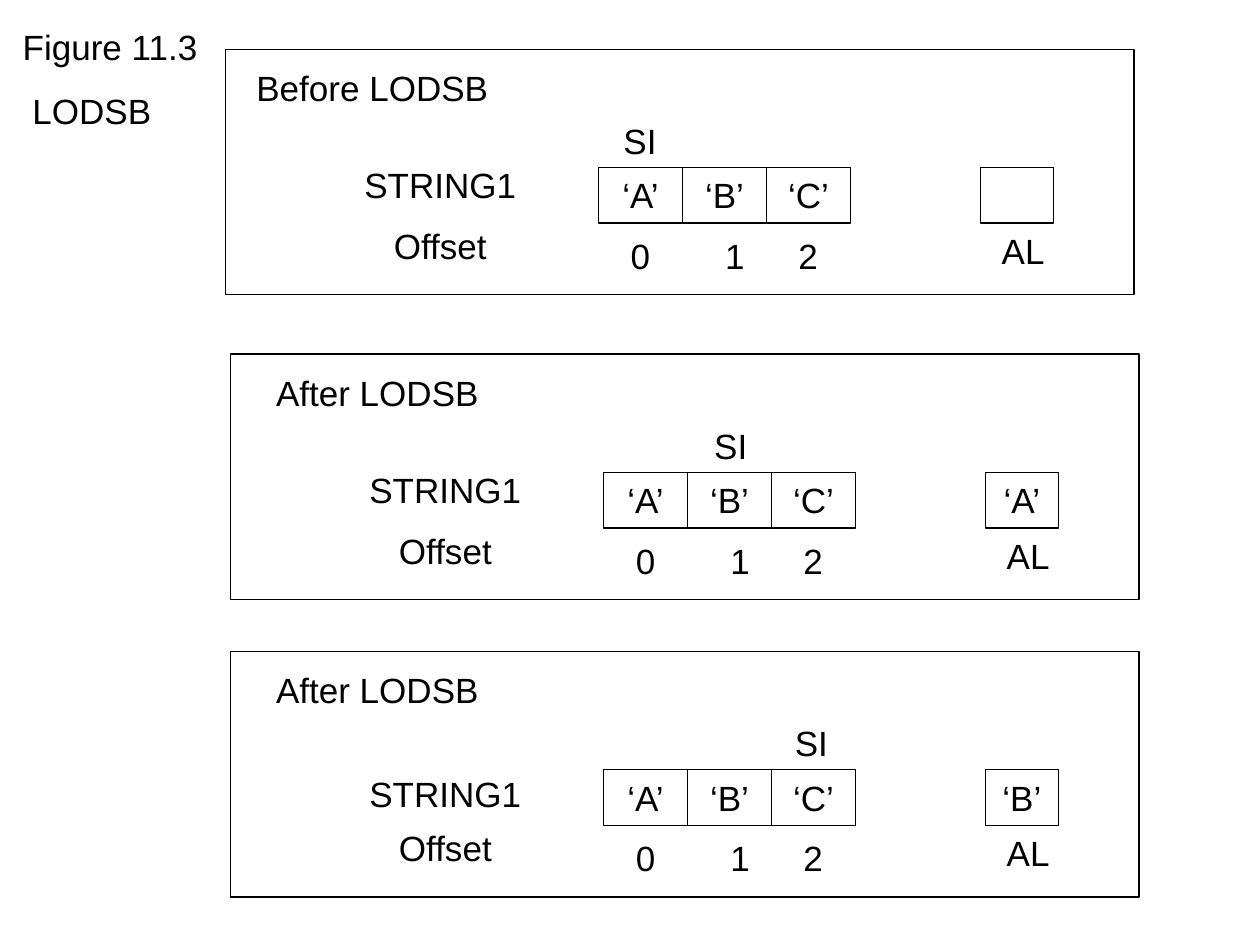
from dataclasses import dataclass

from pptx import Presentation
from pptx.dml.color import RGBColor
from pptx.enum.shapes import MSO_SHAPE
from pptx.enum.text import MSO_ANCHOR, MSO_AUTO_SIZE as AutoSize, PP_ALIGN
from pptx.util import Inches, Pt

BLACK = RGBColor(0, 0, 0)
FONT = "Arial"
ROW_HEIGHT = 0.44
CELL_WIDTH = 2 / 3
CELLS_LEFT = 2.96
CELLS_TOP = 0.94
CELLS = ("‘A’", "‘B’", "‘C’")
OFFSET_LEFTS = (2.96, 3.71, 4.29)


@dataclass
class Panel:
    """One state of the string; inner positions count from its corner."""
    heading: str
    left: float
    top: float
    pointer_left: float
    accumulator: str
    string_top: float = 0.86


PANELS = (
    Panel("Before LODSB", 1.79, 0.39, 3.04, ""),
    Panel("After LODSB", 1.83, 2.81, 3.72, "‘A’"),
    Panel("After LODSB", 1.83, 5.17, 4.36, "‘B’", string_top=0.91),
)


def set_text(box, text: str, align=PP_ALIGN.CENTER, anchor=MSO_ANCHOR.TOP) -> None:
    frame = box.text_frame
    frame.text = text
    frame.word_wrap = True
    frame.auto_size = AutoSize.SHAPE_TO_FIT_TEXT
    frame.vertical_anchor = anchor
    for para in frame.paragraphs:
        para.alignment = align
        para.space_before = Pt(12.5)
        para.line_spacing = 1.0
        for span in para.runs:
            span.font.name = FONT
            span.font.size = Pt(20)
            span.font.color.rgb = BLACK


def add_label(page, text: str, left: float, top: float, width: float) -> None:
    box = page.shapes.add_textbox(
        Inches(left), Inches(top), Inches(width), Inches(ROW_HEIGHT))
    set_text(box, text)


def add_frame(page, left: float, top: float, width: float,
              height: float = ROW_HEIGHT, text: str = "") -> None:
    frame = page.shapes.add_shape(
        MSO_SHAPE.RECTANGLE, Inches(left), Inches(top), Inches(width), Inches(height))
    frame.shadow.inherit = False
    frame.fill.background()
    frame.line.color.rgb = BLACK
    frame.line.width = Pt(0.75)
    if text:
        set_text(frame, text)


def add_panel(page, panel: Panel) -> None:
    left, top = panel.left, panel.top

    # String cells with their offsets
    for index, cell in enumerate(CELLS):
        add_frame(page, left + CELLS_LEFT + index * CELL_WIDTH, top + CELLS_TOP,
                  CELL_WIDTH, text=cell)
    for index, offset_left in enumerate(OFFSET_LEFTS):
        add_label(page, str(index), left + offset_left, top + 1.42, CELL_WIDTH)

    # Row names, heading and index pointer
    add_label(page, "STRING1", left + 0.79, top + panel.string_top, 1.83)
    add_label(page, "Offset", left + 0.79, top + 1.34, 1.83)
    add_label(page, panel.heading, left + 0.04, top + 0.09, 2.25)
    add_label(page, "SI", left + panel.pointer_left, top + 0.51, 0.5)

    # Outline and accumulator
    add_frame(page, left, top, 7.21, 1.95)
    add_frame(page, left + 5.99, top + CELLS_TOP, 0.58, text=panel.accumulator)
    add_label(page, "AL", left + 6.04, top + 1.38, 0.58)


def main() -> None:
    deck = Presentation()
    deck.slide_width, deck.slide_height = Inches(10), Inches(7.5)
    page = deck.slides.add_slide(deck.slide_layouts[5])

    # Figure title
    title = page.shapes.title
    title.left, title.top = Inches(0.08), Inches(0.15)
    title.width, title.height = Inches(1.67), Inches(0.94)
    set_text(title, "Figure 11.3\n LODSB", PP_ALIGN.LEFT)

    for panel in PANELS:
        add_panel(page, panel)
    deck.save("out.pptx")


if __name__ == "__main__":
    main()
